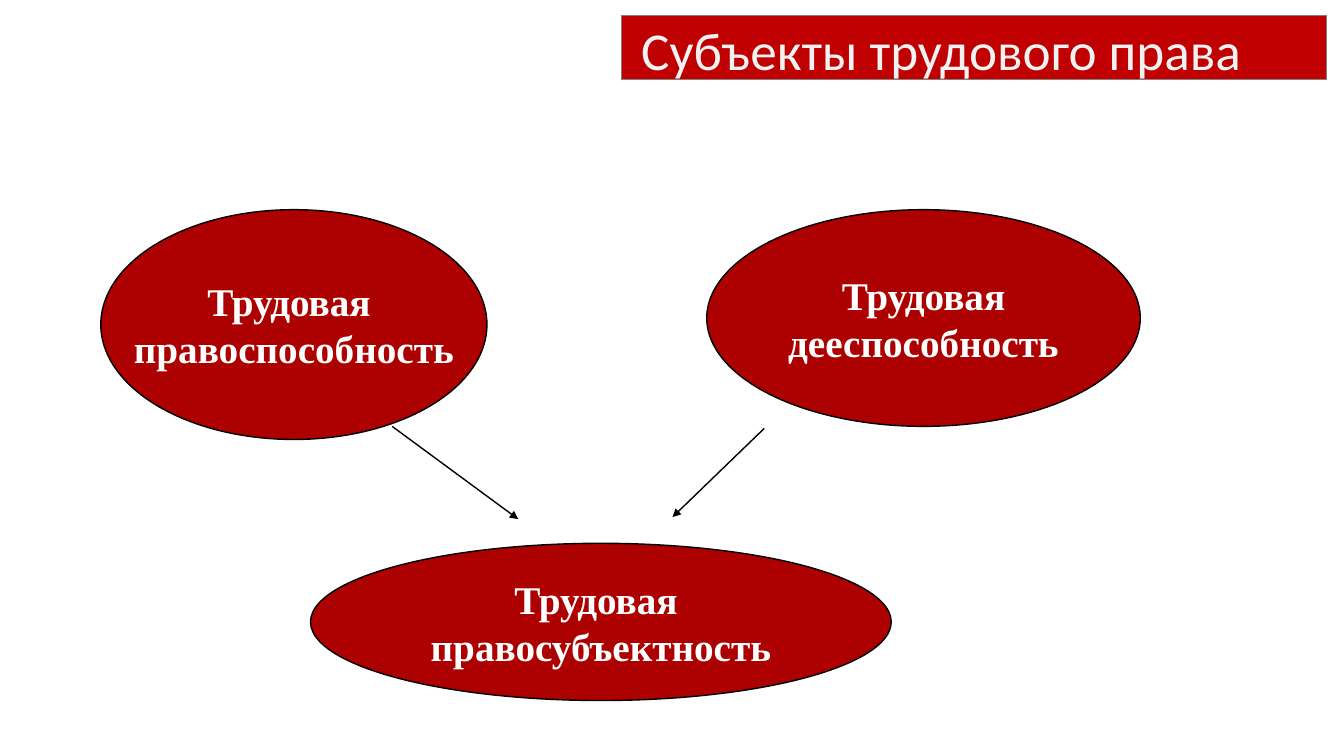
from lxml import etree
from pptx import Presentation
from pptx.dml.color import RGBColor
from pptx.enum.shapes import MSO_CONNECTOR, MSO_SHAPE
from pptx.enum.text import MSO_ANCHOR, PP_ALIGN
from pptx.oxml.ns import qn
from pptx.util import Inches, Pt

ELLIPSE = MSO_SHAPE.OVAL
RECTANGLE = MSO_SHAPE.RECTANGLE
STRAIGHT = MSO_CONNECTOR.STRAIGHT
MIDDLE = MSO_ANCHOR.MIDDLE
LEFT, CENTER = PP_ALIGN.LEFT, PP_ALIGN.CENTER

COLORS = {
    "title_fill": "C00000",
    "title_line": "808080",
    "title_text": "F2F2F2",
    "oval_fill": "AD0101",
    "black": "000000",
    "white": "FFFFFF",
}
TITLE_FONT = {"name": "Calibri", "size": Pt(38), "bold": False}
OVAL_FONT = {"name": "Times New Roman", "size": Pt(28), "bold": True}
TITLE_FRAME = {
    "word_wrap": True,
    "vertical_anchor": MIDDLE,
    "margin_left": Inches(0.2),
    "margin_top": Inches(0.31),
    "margin_right": Inches(0.2),
    "margin_bottom": Inches(0.2),
}
OVAL_FRAME = {"word_wrap": False, "vertical_anchor": MIDDLE}

OVALS = [
    ((1, 2.08, 3.83, 2.28), ["Трудовая ", "правоспособность"]),
    ((7.01, 2.08, 4.3, 2.15), ["Трудовая", "дееспособность"]),
    ((3.08, 5.39, 5.76, 1.56), ["Трудовая ", "правосубъектность"]),
]
ARROWS = [
    ((3.89, 4.23), (5.14, 5.15)),
    ((7.58, 4.25), (6.67, 5.13)),
]


def rgb(name):
    return RGBColor.from_string(COLORS[name])


def apply(target, values):
    """Set each attribute of target named in values."""
    for name, value in values.items():
        setattr(target, name, value)


class Diagram:
    def __init__(self, slide):
        self.slide = slide

    def outline(self, sp, color, width):
        sp.line.color.rgb = rgb(color)
        sp.line.width = Pt(width)

    def shape(self, kind, box, fill, line, width):
        sp = self.slide.shapes.add_shape(kind, *map(Inches, box))
        sp.shadow.inherit = False
        sp.fill.solid()
        sp.fill.fore_color.rgb = rgb(fill)
        self.outline(sp, line, width)
        return sp

    def text(self, sp, lines, frame, font, color, paragraph):
        tf = sp.text_frame
        apply(tf, frame)
        for i, line in enumerate(lines):
            p = tf.add_paragraph() if i else tf.paragraphs[0]
            apply(p, paragraph)
            r = p.add_run()
            r.text = line
            apply(r.font, font)
            r.font.color.rgb = rgb(color)

    def title(self, box, text):
        sp = self.shape(RECTANGLE, box, "title_fill", "title_line", 0.75)
        self.text(sp, [text], TITLE_FRAME, TITLE_FONT, "title_text",
                  {"alignment": LEFT, "line_spacing": Pt(40)})

    def oval(self, box, lines):
        sp = self.shape(ELLIPSE, box, "oval_fill", "black", 1)
        self.text(sp, lines, OVAL_FRAME, OVAL_FONT, "white",
                  {"alignment": CENTER})

    def arrow(self, start, end):
        sp = self.slide.shapes.add_connector(
            STRAIGHT, *map(Inches, start + end))
        self.outline(sp, "black", 1)
        etree.SubElement(sp.line._get_or_add_ln(), qn("a:tailEnd"),
                         type="triangle")
        etree.SubElement(sp._element.spPr, qn("a:effectLst"))


def main():
    prs = Presentation()
    prs.slide_width, prs.slide_height = Inches(13.33), Inches(7.5)
    diagram = Diagram(prs.slides.add_slide(prs.slide_layouts[6]))
    diagram.title((6.16, 0.15, 7, 0.64), "Субъекты трудового права")
    for box, lines in OVALS:
        diagram.oval(box, lines)
    for start, end in ARROWS:
        diagram.arrow(start, end)
    prs.save("out.pptx")


if __name__ == "__main__":
    main()
